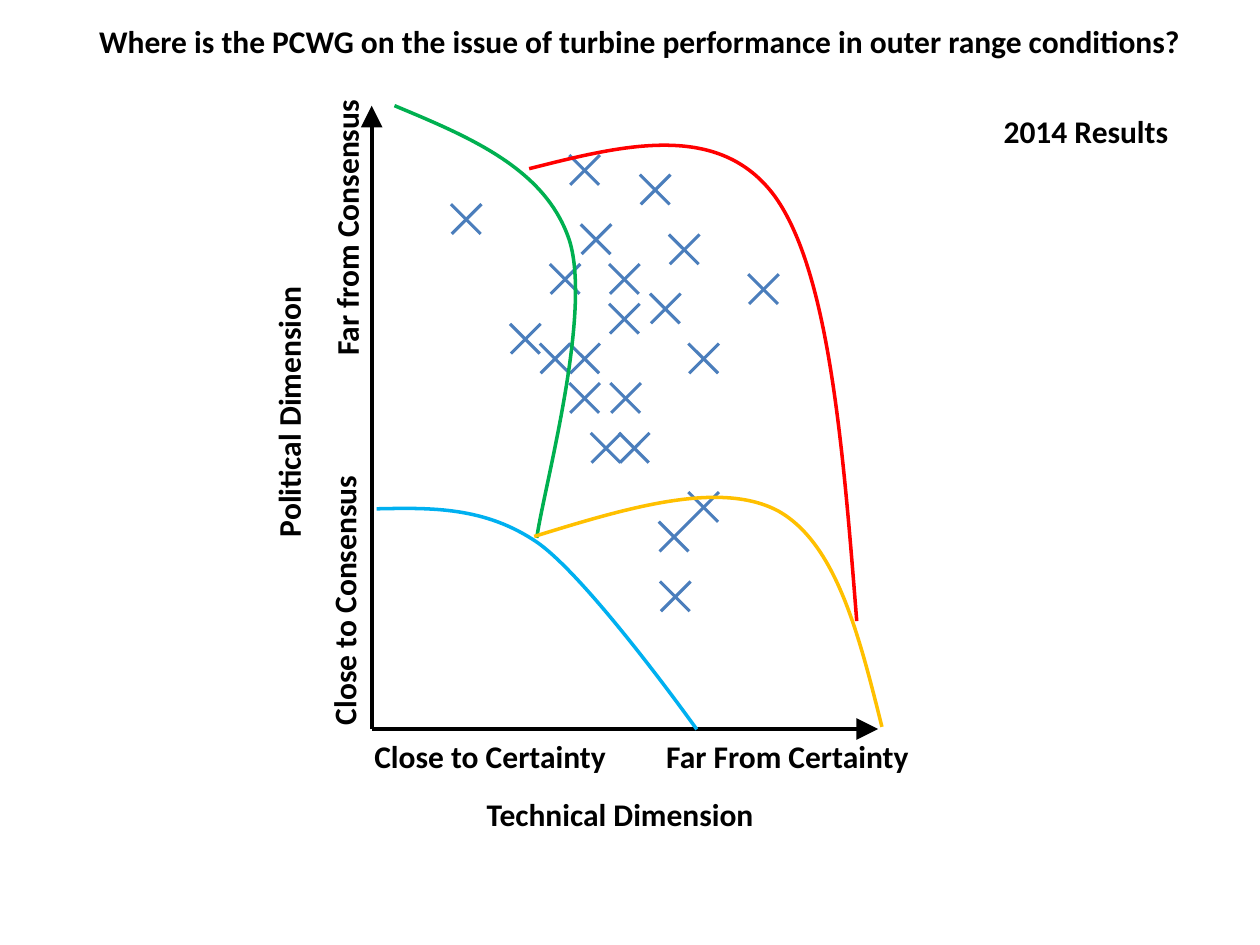
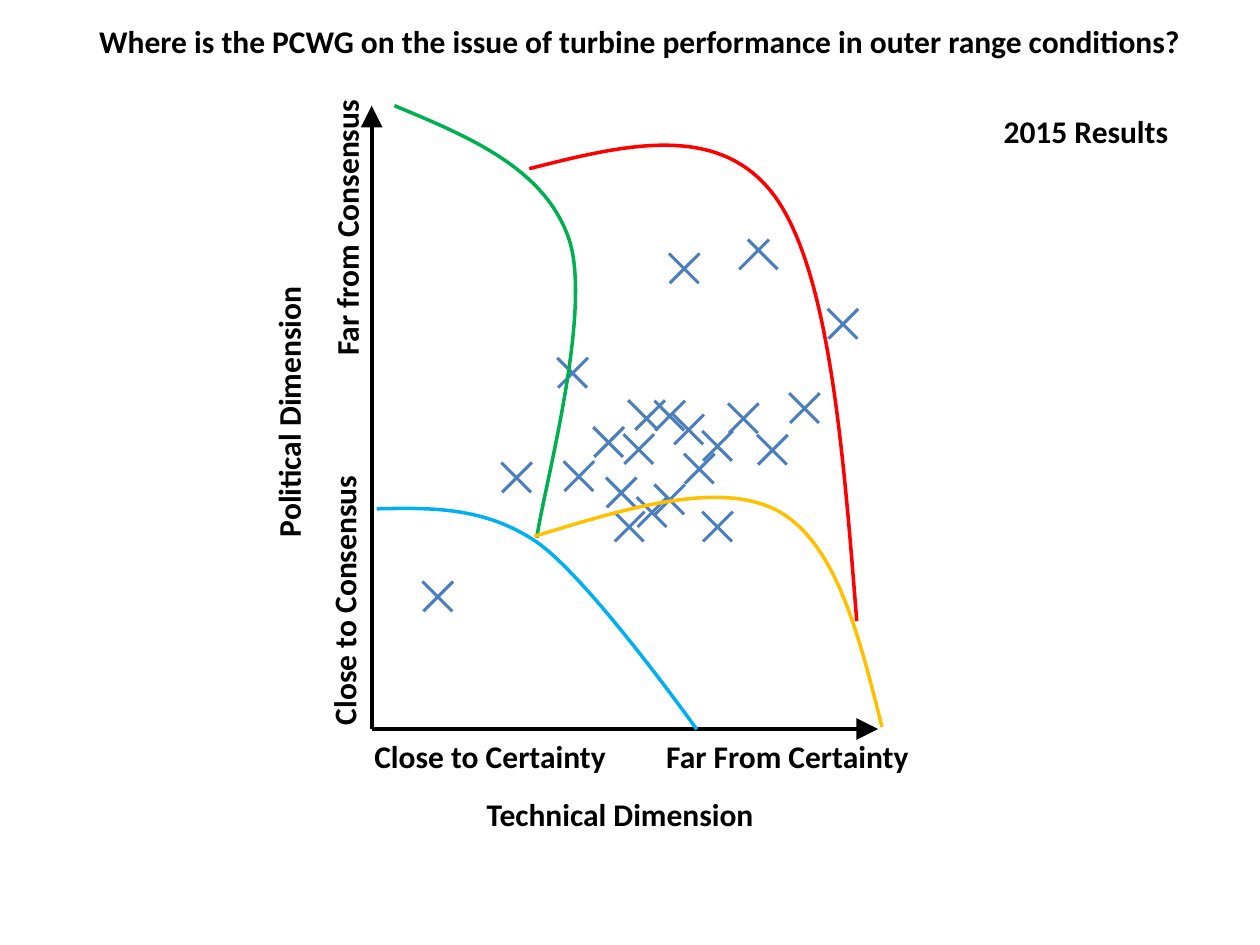
import pptx
import pptx.util
import pptx.dml.color
import pptx.enum.shapes
import pptx.enum.text
import pptx.oxml.ns
import lxml.etree

Pt = pptx.util.Pt
RGBColor = pptx.dml.color.RGBColor
qn = pptx.oxml.ns.qn

BLACK = RGBColor(0x00, 0x00, 0x00)
MARK_BLUE = RGBColor(0x4B, 0x7E, 0xBC)
SKY = RGBColor(0x00, 0xB0, 0xF0)
GREEN = RGBColor(0x00, 0xB0, 0x50)
RED = RGBColor(0xFF, 0x00, 0x00)
AMBER = RGBColor(0xFF, 0xC0, 0x00)

FONT = "Calibri"
TITLE = "Where is the PCWG on the issue of turbine performance in outer range conditions?"
LABEL_HEIGHT = 29
TITLE_BOX = (14.4, 9, 702.7, LABEL_HEIGHT)
RESULTS_BOX = (552.2, 60.5, 136.8, LABEL_HEIGHT)
PLOT_BOX = (212.4, 60.4, 289.4, 356.2)

# Zone borders: Bezier control points, relative to the plot box
ZONES = [
    (SKY, [(2.9, 230.4), (33.8, 229.7), (64.8, 229), (95, 249.8),
           (125.3, 271.4), (185.8, 356.4), (185.8, 356.4)]),
    (GREEN, [(13, 0), (56.2, 18), (99.4, 36), (113, 77),
             (126, 118.8), (98.6, 217.4), (94.3, 247)]),
    (RED, [(90, 36), (144, 22.3), (198.7, 8.6), (230.4, 51.8),
           (261.4, 95), (269.3, 194.4), (277.2, 294.5)]),
    (AMBER, [(92.9, 246.2), (146.2, 229.7), (199.4, 213.8), (232.6, 231.8),
             (265.7, 250.6), (278.6, 303.1), (291.6, 355)]),
]

# Axis labels: text, centre relative to the plot box, length, rotation
AXIS_LABELS = [
    ("Technical Dimension", 142, 404.6, 294.5, 0),
    ("Political Dimension", -47.5, 174.9, 364.3, 270),
    ("Far From Certainty", 237.6, 371.5, 191.5, 0),
    ("Close to Certainty", 67.7, 371.5, 191.5, 0),
    ("Close to Consensus", -15.8, 282.7, 171.4, 270),
    ("Far from Consensus", -14.4, 69.8, 171.4, 270),
]

# Votes: centre relative to the plot box, with an optional gap between strokes
VOTES = {
    "2014 Results": [
        (54, 64.8), (121.7, 36.7), (162, 47.9), (223.9, 104.8), (178.6, 82.1),
        (128.2, 76.3), (110.5, 99), (144.4, 99), (167.8, 115.9), (144.4, 121.7),
        (87.8, 133.2), (104.8, 144.4), (121.7, 144.4), (121.7, 167),
        (189.7, 144.4), (145.1, 167), (133.9, 195.5), (189.7, 229.3),
        (150.1, 195.5), (172.8, 246.2), (173.5, 280.4),
    ],
    "2015 Results": [
        (147.2, 240.5), (212.4, 178.6), (178.6, 92.9), (269.3, 124.6),
        (221, 85, 5), (181.1, 185), (152.6, 196.2), (170.3, 177.1),
        (229, 196.6), (197.6, 194.4), (118.4, 211.7), (114.8, 152.6),
        (135.4, 192.2), (187.2, 207.4), (247.3, 172.8), (170.3, 225),
        (142.6, 221), (197.6, 240.5), (160.2, 232.2), (37.8, 280.4),
        (82.8, 212.4), (157.1, 176.8, -4),
    ],
}


def write_bold(shape, text):
    tf = shape.text_frame
    tf.word_wrap = True
    tf.auto_size = pptx.enum.text.MSO_AUTO_SIZE.NONE
    tf.vertical_anchor = pptx.enum.text.MSO_ANCHOR.TOP
    tf.text = text
    p = tf.paragraphs[0]
    p.alignment = pptx.enum.text.PP_ALIGN.CENTER
    font = p.runs[0].font
    font.name, font.size, font.bold = FONT, Pt(18), True
    font.color.rgb = BLACK


def add_label(s, text, box, rotation=0):
    sp = s.shapes.add_textbox(*map(Pt, box))
    sp.rotation = rotation
    write_bold(sp, text)


def add_line(s, start, end, color, width, arrow=False):
    line = s.shapes.add_connector(
        pptx.enum.shapes.MSO_CONNECTOR.STRAIGHT, *map(Pt, start + end))
    line.line.color.rgb = color
    line.line.width = Pt(width)
    props = line._element.spPr
    if arrow:
        lxml.etree.SubElement(props.find(qn("a:ln")), qn("a:tailEnd"),
                              type="triangle", w="lg", len="lg")
    lxml.etree.SubElement(props, qn("a:effectLst"))


def bezier_points(controls, steps=24):
    """Sample a chain of cubic curves, to find the extent of its outline."""
    points = [controls[0]]
    for i in range(0, len(controls) - 1, 3):
        for step in range(1, steps + 1):
            t = step / steps
            weights = ((1 - t) ** 3, 3 * t * (1 - t) ** 2, 3 * t ** 2 * (1 - t), t ** 3)
            points.append(tuple(
                round(sum(w * c[axis] for w, c in zip(weights, controls[i:i + 4])))
                for axis in (0, 1)))
    return points


def add_zone(s, left, top, color, controls):
    controls = [(Pt(left + x), Pt(top + y)) for x, y in controls]
    points = bezier_points(controls)
    builder = s.shapes.build_freeform(*points[0], scale=1.0)
    builder.add_line_segments(points[1:], close=False)
    sp = builder.convert_to_shape()

    # Swap the straight segments for true curves within the same extent
    outline = next(sp._element.iter(qn("a:path")))
    for segment in outline.findall(qn("a:lnTo")):
        outline.remove(segment)
    for i in range(1, len(controls), 3):
        curve = lxml.etree.SubElement(outline, qn("a:cubicBezTo"))
        for x, y in controls[i:i + 3]:
            lxml.etree.SubElement(curve, qn("a:pt"), x=str(x - sp.left), y=str(y - sp.top))

    sp.shadow.inherit = False
    sp.fill.background()
    sp.line.color.rgb = color
    sp.line.width = Pt(2)


def add_vote(s, x, y, gap=-0.5, half=8.5):
    falling, rising = x + gap / 2, x - gap / 2
    add_line(s, (falling - half, y - half), (falling + half, y + half), MARK_BLUE, 1.75)
    add_line(s, (rising + half, y - half), (rising - half, y + half), MARK_BLUE, 1.75)


def add_plot(s, box, votes):
    left, top, width, height = box
    bottom = top + height

    # Votes lie below the axes and zones
    for x, y, *gap in votes:
        add_vote(s, left + x, top + y, *gap)

    # Axes
    for end in ((left + width, bottom), (left, top)):
        add_line(s, (left, bottom), end, BLACK, 2.5, arrow=True)
    for text, x, y, length, rotation in AXIS_LABELS:
        label_box = (left + x - length / 2, top + y - LABEL_HEIGHT / 2,
                     length, LABEL_HEIGHT)
        add_label(s, text, label_box, rotation)

    # Zones
    for color, controls in ZONES:
        add_zone(s, left, top, color, controls)


def add_results_slide(prs, results, votes):
    s = prs.slides.add_slide(prs.slide_layouts[5])
    title = s.shapes.title
    title.left, title.top, title.width, title.height = map(Pt, TITLE_BOX)
    write_bold(title, TITLE)
    add_plot(s, PLOT_BOX, votes)
    add_label(s, results, RESULTS_BOX)


def main():
    prs = pptx.Presentation()
    prs.slide_width, prs.slide_height = Pt(720), Pt(540)
    for results, votes in VOTES.items():
        add_results_slide(prs, results, votes)
    prs.save("out.pptx")


if __name__ == "__main__":
    main()
